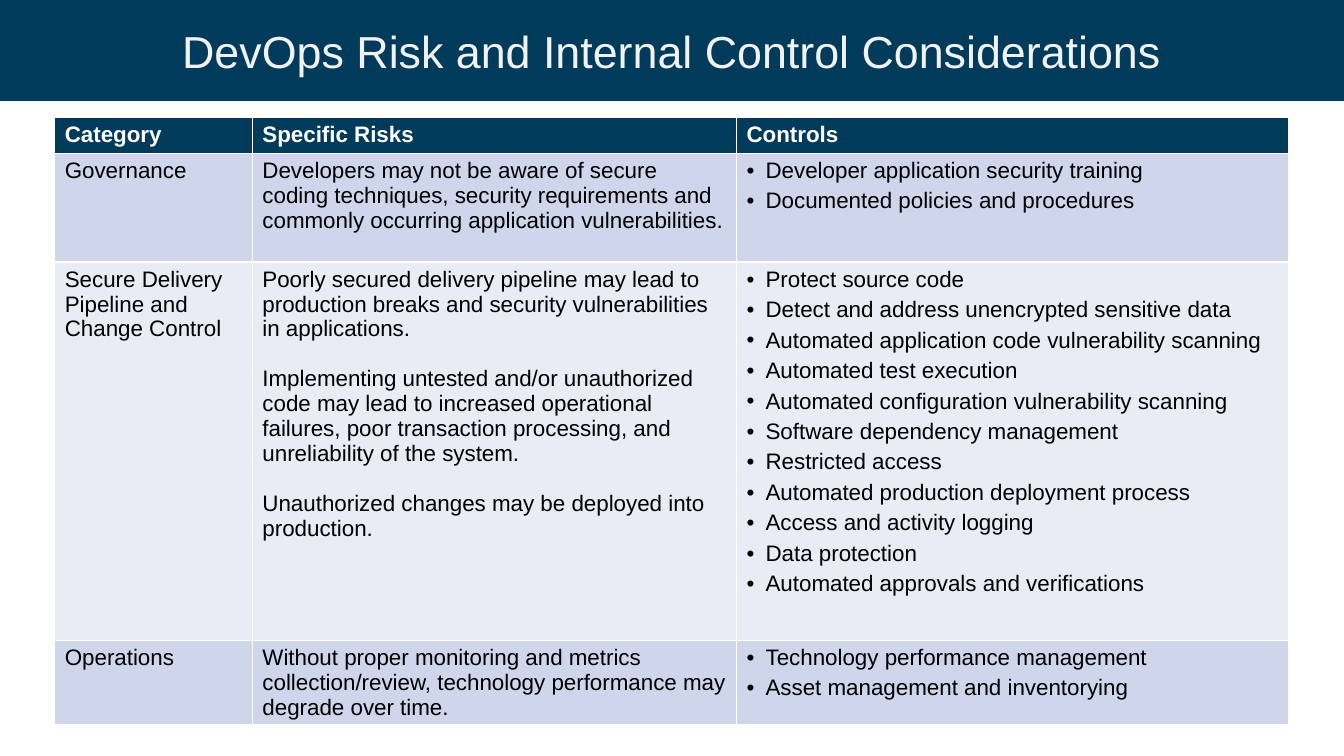
"""Builds the slide on DevOps risk and internal control considerations."""
from lxml import etree
from pptx import Presentation
from pptx import util as u
from pptx.dml.color import RGBColor
from pptx.enum import text
from pptx.oxml.ns import qn

COLORS = {"navy": "003B5C", "title": "F2F2F2", "white": "FFFFFF", "black": "000000",
          "band": "CFD5EA", "light_band": "E9EBF5"}
FONT = "Arial"
HEADINGS = ["Category", "Specific Risks", "Controls"]
COLUMN_WIDTHS = [4.98, 12.2, 13.92]
ROW_HEIGHTS = [0.91, 2.74, 9.53, 2.13]
RISK_GAP = 18
CONTROL_GAP = 4
CATEGORIES = [
    ("Governance",
     ["Developers may not be aware of secure coding techniques, security requirements "
      "and commonly occurring application vulnerabilities."],
     ["Developer application security training",
      "Documented policies and procedures"]),
    ("Secure Delivery Pipeline and Change Control",
     ["Poorly secured delivery pipeline may lead to production breaks and security "
      "vulnerabilities in applications.",
      "Implementing untested and/or unauthorized code may lead to increased operational "
      "failures, poor transaction processing, and unreliability of the system.",
      "Unauthorized changes may be deployed into production."],
     ["Protect source code",
      "Detect and address unencrypted sensitive data",
      "Automated application code vulnerability scanning",
      "Automated test execution",
      "Automated configuration vulnerability scanning",
      "Software dependency management",
      "Restricted access",
      "Automated production deployment process",
      "Access and activity logging",
      "Data protection",
      "Automated approvals and verifications"]),
    ("Operations",
     ["Without proper monitoring and metrics collection/review, technology performance "
      "may degrade over time."],
     ["Technology performance management",
      "Asset management and inventorying"]),
]


def color(name):
    return RGBColor.from_string(COLORS[name])


def format_runs(paragraph, size, color_name, bold=False):
    for run in paragraph.runs:
        run.font.name = FONT
        run.font.size = u.Pt(size)
        run.font.bold = bold
        run.font.color.rgb = color(color_name)


def add_bullet(paragraph):
    properties = paragraph._p.get_or_add_pPr()
    properties.set("marL", str(u.Cm(0.48)))
    properties.set("indent", str(u.Cm(-0.48)))
    etree.SubElement(properties, qn("a:buFont")).set("typeface", FONT)
    etree.SubElement(properties, qn("a:buChar")).set("char", "•")


def fill_cell(cell, lines, fill, color_name="black", bold=False, gap=0, bullets=False):
    cell.fill.solid()
    cell.fill.fore_color.rgb = color(fill)
    cell.text_frame.text = "\n".join(lines)
    for paragraph in cell.text_frame.paragraphs:
        if bullets:
            add_bullet(paragraph)
        format_runs(paragraph, 16, color_name, bold)
    for paragraph in cell.text_frame.paragraphs[:-1]:
        paragraph.space_after = u.Pt(gap)


def add_title(slide, wording):
    title = slide.shapes.title
    title.left, title.top = u.Cm(0), u.Cm(0)
    title.width, title.height = u.Cm(33.87), u.Cm(2.54)
    title.fill.solid()
    title.fill.fore_color.rgb = color("navy")
    frame = title.text_frame
    frame.text = wording
    frame.auto_size = text.MSO_AUTO_SIZE.NONE
    frame.vertical_anchor = text.MSO_ANCHOR.MIDDLE
    frame.margin_left = frame.margin_right = u.Cm(1.35)
    paragraph = frame.paragraphs[0]
    paragraph.alignment = text.PP_ALIGN.CENTER
    format_runs(paragraph, 32, "title")


def add_risk_table(slide):
    table = slide.shapes.add_table(
        len(ROW_HEIGHTS), len(COLUMN_WIDTHS), u.Cm(1.38), u.Cm(2.95),
        u.Cm(sum(COLUMN_WIDTHS)), u.Cm(sum(ROW_HEIGHTS))).table
    for column, width in zip(table.columns, COLUMN_WIDTHS):
        column.width = u.Cm(width)
    for row, height in zip(table.rows, ROW_HEIGHTS):
        row.height = u.Cm(height)
    for index, heading in enumerate(HEADINGS):
        fill_cell(table.cell(0, index), [heading], "navy", "white", bold=True)
    for index, (category, risks, controls) in enumerate(CATEGORIES, start=1):
        fill = "band" if index % 2 else "light_band"
        fill_cell(table.cell(index, 0), [category], fill)
        fill_cell(table.cell(index, 1), risks, fill, gap=RISK_GAP)
        fill_cell(table.cell(index, 2), controls, fill, gap=CONTROL_GAP, bullets=True)


def main():
    presentation = Presentation()
    presentation.slide_width, presentation.slide_height = u.Cm(33.87), u.Cm(19.05)
    slide = presentation.slides.add_slide(presentation.slide_layouts.get_by_name("Title Only"))
    add_title(slide, "DevOps Risk and Internal Control Considerations")
    add_risk_table(slide)
    presentation.save("out.pptx")


if __name__ == "__main__":
    main()
